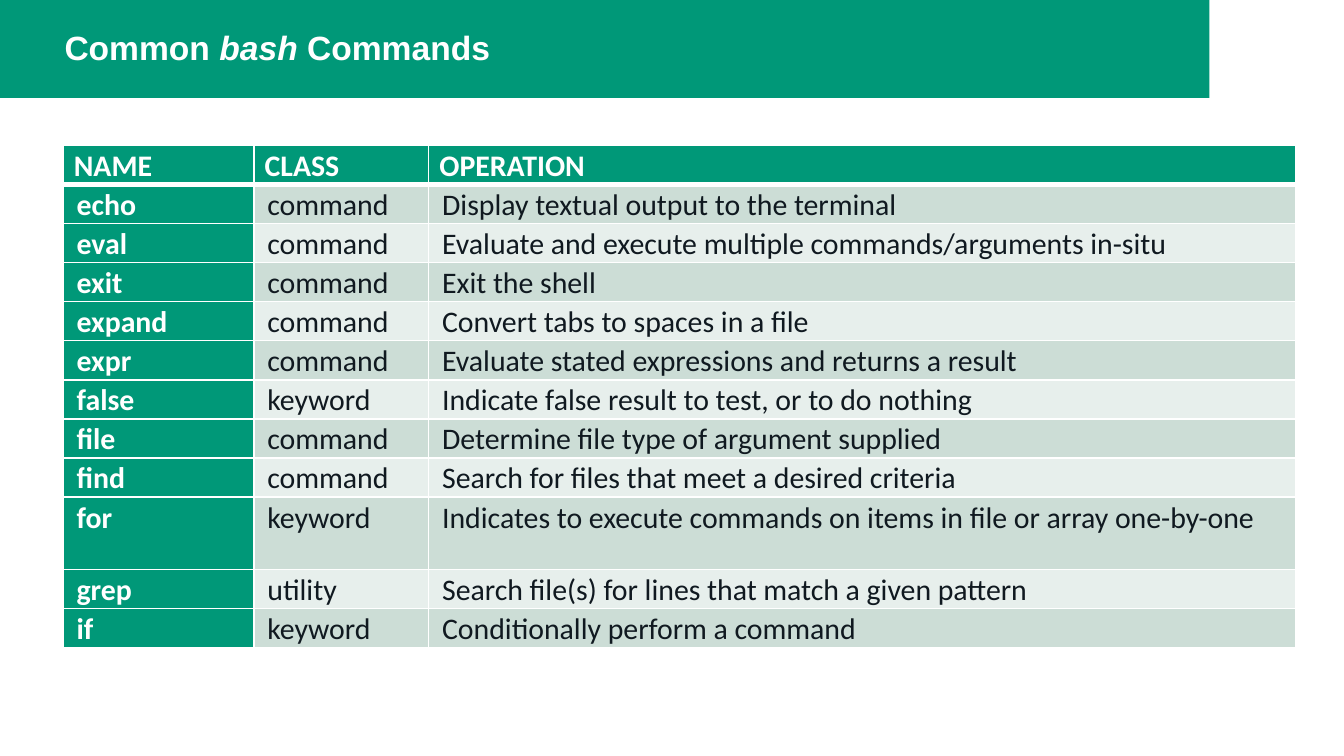
from lxml import etree
from pptx import Presentation
from pptx.dml.color import RGBColor
from pptx.enum.shapes import MSO_SHAPE
from pptx.enum.text import MSO_ANCHOR, MSO_AUTO_SIZE, PP_ALIGN
from pptx.oxml.ns import qn
from pptx.util import Inches, Pt

RECTANGLE = MSO_SHAPE.RECTANGLE
MIDDLE = MSO_ANCHOR.MIDDLE
NO_AUTOFIT = MSO_AUTO_SIZE.NONE
LEFT = PP_ALIGN.LEFT

GREEN = RGBColor(0x00, 0x98, 0x78)
PALE_GREEN = RGBColor(0xCC, 0xDD, 0xD6)
PALE_GREY = RGBColor(0xE7, 0xEF, 0xEC)
WHITE = RGBColor(0xFF, 0xFF, 0xFF)
INK = RGBColor(0x10, 0x19, 0x20)

SLIDE_WIDTH = Inches(10)
SLIDE_HEIGHT = SLIDE_WIDTH * 9 // 16
TITLE_ONLY_LAYOUT = 5
COLUMN_WIDTHS = (1.42, 1.3, 6.45)
ROW_HEIGHT = 0.29
TALL_ROW_HEIGHT = 0.54
TALL_ROW_NAME = "for"
HEADER_BORDERS = {"a:lnL": 1, "a:lnR": 1, "a:lnT": 1, "a:lnB": 3}

ROWS = (
    ("NAME", "CLASS", "OPERATION"),
    ("echo", "command", "Display textual output to the terminal"),
    ("eval", "command", "Evaluate and execute multiple commands/arguments in-situ"),
    ("exit", "command", "Exit the shell"),
    ("expand", "command", "Convert tabs to spaces in a file"),
    ("expr", "command", "Evaluate stated expressions and returns a result"),
    ("false", "keyword", "Indicate false result to test, or to do nothing"),
    ("file", "command", "Determine file type of argument supplied"),
    ("find", "command", "Search for files that meet a desired criteria"),
    ("for", "keyword", "Indicates to execute commands on items in file or array one-by-one"),
    ("grep", "utility", "Search file(s) for lines that match a given pattern"),
    ("if", "keyword", "Conditionally perform a command"),
)


def set_font(font, name, size, color, bold):
    font.name = name
    font.size = Pt(size)
    font.color.rgb = color
    font.bold = bold


def add_banner(slide):
    banner = slide.shapes.add_shape(RECTANGLE, 0, 0, Inches(9), Inches(0.73))
    banner.shadow.inherit = False
    banner.fill.solid()
    banner.fill.fore_color.rgb = GREEN
    banner.line.fill.background()
    slide.shapes.title.element.addprevious(banner.element)


def fill_title(slide):
    title = slide.shapes.title
    title.left, title.top = Inches(0.38), Inches(0)
    title.width, title.height = Inches(8.62), Inches(0.74)
    text_frame = title.text_frame
    text_frame.auto_size = NO_AUTOFIT
    text_frame.vertical_anchor = MIDDLE
    paragraph = text_frame.paragraphs[0]
    paragraph.alignment = LEFT
    paragraph.line_spacing = 0.9
    set_font(paragraph.font, "Arial", 18, WHITE, True)
    for text, italic in (("Common ", False), ("bash", True), (" Commands", False)):
        run = paragraph.add_run()
        run.text = text
        run.font.italic = italic


def add_header_borders(cell):
    properties = cell._tc.get_or_add_tcPr()
    for tag, width in HEADER_BORDERS.items():
        line = etree.SubElement(properties, qn(tag), w=str(Pt(width)))
        fill = etree.SubElement(line, qn("a:solidFill"))
        etree.SubElement(fill, qn("a:srgbClr"), val=str(WHITE))


def fill_cell(cell, text, row_index, column_index):
    is_header = row_index == 0
    is_green = is_header or column_index == 0
    if is_header:
        add_header_borders(cell)
    cell.margin_left = cell.margin_right = Inches(0.08 if is_header else 0.1)
    cell.margin_top = cell.margin_bottom = 0
    band = PALE_GREEN if row_index % 2 else PALE_GREY
    cell.fill.solid()
    cell.fill.fore_color.rgb = GREEN if is_green else band
    cell.text = text
    paragraph = cell.text_frame.paragraphs[0]
    paragraph.line_spacing = 1.07
    paragraph.space_after = Pt(8)
    set_font(paragraph.font, "Calibri", 16, WHITE if is_green else INK, is_green)


def add_command_table(slide):
    frame = slide.shapes.add_table(
        len(ROWS), len(COLUMN_WIDTHS), Inches(0.47), Inches(1.08), Inches(9.17), Inches(3.71)
    )
    table = frame.table
    table.first_col = True
    for column, width in zip(table.columns, COLUMN_WIDTHS):
        column.width = Inches(width)
    for row_index, texts in enumerate(ROWS):
        height = TALL_ROW_HEIGHT if texts[0] == TALL_ROW_NAME else ROW_HEIGHT
        table.rows[row_index].height = Inches(height)
        for column_index, text in enumerate(texts):
            fill_cell(table.cell(row_index, column_index), text, row_index, column_index)


def main():
    presentation = Presentation()
    presentation.slide_width = SLIDE_WIDTH
    presentation.slide_height = SLIDE_HEIGHT
    slide = presentation.slides.add_slide(presentation.slide_layouts[TITLE_ONLY_LAYOUT])
    add_banner(slide)
    fill_title(slide)
    add_command_table(slide)
    presentation.save("out.pptx")


if __name__ == "__main__":
    main()
